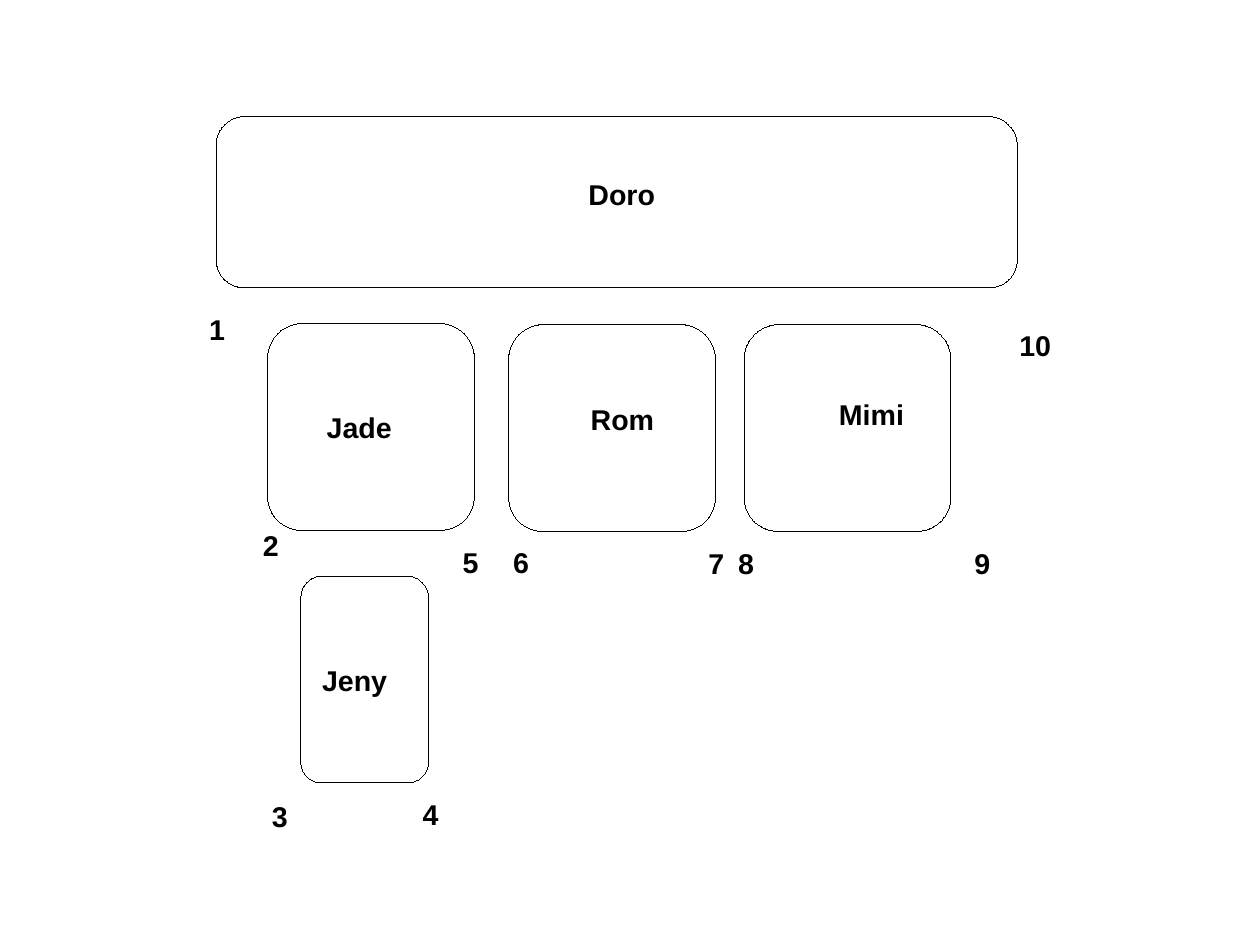
from pptx import Presentation
from pptx.dml.color import RGBColor
from pptx.enum.shapes import MSO_SHAPE
from pptx.enum.text import MSO_ANCHOR, MSO_AUTO_SIZE, PP_ALIGN
from pptx.util import Pt

ROUNDED = MSO_SHAPE.ROUNDED_RECTANGLE
TOP = MSO_ANCHOR.TOP
GROW = MSO_AUTO_SIZE.SHAPE_TO_FIT_TEXT
LEFT, CENTER = PP_ALIGN.LEFT, PP_ALIGN.CENTER

# Content, all lengths in points
SLIDE_SIZE = (793.7, 595.28)
BLACK = "000000"
FONT, FONT_SIZE = "Arial", 18
HAIRLINE = 0.01
SIDE = 130.3
LINE_HEIGHT, DIGIT_WIDTH = 28.1, 24.5

# Outlines: left, top, width, height
OUTLINES = [
    (136.1, 73.4, 504.7, 108),
    (168.5, 203.8, SIDE, SIDE),
    (320.4, 204.5, SIDE, SIDE),
    (468.7, 204.5, SIDE, SIDE),
    (189.4, 362.9, 80.6, SIDE),
]

# Names: text, left, top, width, alignment, wrap
NAMES = [
    ("Doro", 363.6, 108, 56.2, LEFT, False),
    ("Jade", 198.7, 254.9, 55.4, LEFT, False),
    ("Rom", 364.1, 249.8, 56, CENTER, True),
    ("Mimi", 508.3, 246.2, 81.4, CENTER, True),
    ("Jeny", 195.8, 414, 55.4, LEFT, False),
]

# Left and top of the corner numbers, in order from 1
CORNERS = [
    (124.6, 193), (158.6, 329), (164.2, 499.4), (259.2, 498.7),
    (284.4, 339.8), (316.1, 339.8), (439.2, 340.2), (457.9, 340.2),
    (606.7, 340.2), (635, 203),
]


def color(value):
    return RGBColor.from_string(value)


def add_outline(slide, box):
    shape = slide.shapes.add_shape(ROUNDED, *map(Pt, box))
    shape.shadow.inherit = False
    shape.fill.background()
    shape.line.color.rgb = color(BLACK)
    shape.line.width = Pt(HAIRLINE)


def add_label(slide, text, left, top, width, alignment=LEFT, wrap=False):
    shape = slide.shapes.add_textbox(Pt(left), Pt(top), Pt(width), Pt(LINE_HEIGHT))
    frame = shape.text_frame
    frame.word_wrap = wrap
    frame.auto_size = GROW
    frame.vertical_anchor = TOP
    paragraph = frame.paragraphs[0]
    paragraph.alignment = alignment
    run = paragraph.add_run()
    run.text = text
    run.font.name = FONT
    run.font.size = Pt(FONT_SIZE)
    run.font.bold = True
    run.font.color.rgb = color(BLACK)


def main():
    presentation = Presentation()
    presentation.slide_width, presentation.slide_height = map(Pt, SLIDE_SIZE)
    slide = presentation.slides.add_slide(presentation.slide_layouts[6])

    # Outlines and the names in them
    for box in OUTLINES:
        add_outline(slide, box)
    for name in NAMES:
        add_label(slide, *name)

    # Corner numbers, wider for two digits
    for number, (left, top) in enumerate(CORNERS, start=1):
        text = str(number)
        width = DIGIT_WIDTH + 10 * (len(text) - 1)
        add_label(slide, text, left, top, width)

    presentation.save("out.pptx")


if __name__ == "__main__":
    main()
